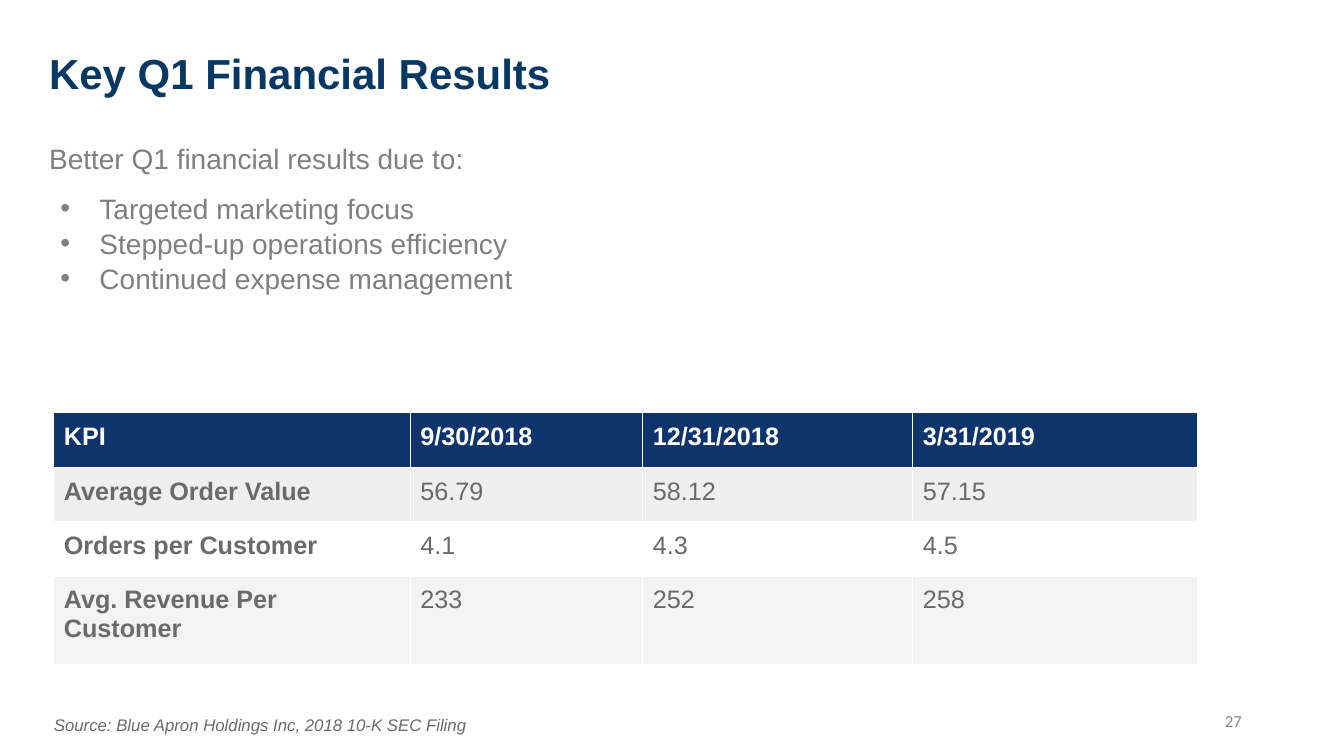
import pptx
import pptx.dml.color
import pptx.enum.text
import pptx.oxml
import pptx.oxml.ns
import pptx.util

Pt = pptx.util.Pt
ANCHOR = pptx.enum.text.MSO_ANCHOR
ALIGN = pptx.enum.text.PP_ALIGN

REASONS = [
    "Targeted marketing focus",
    "Stepped-up operations efficiency",
    "Continued expense management",
]
KPI_ROWS = [
    ("KPI", "9/30/2018", "12/31/2018", "3/31/2019"),
    ("Average Order Value", "56.79", "58.12", "57.15"),
    ("Orders per Customer", "4.1", "4.3", "4.5"),
    ("Avg. Revenue Per Customer", "233", "252", "258"),
]
ROW_FILLS = ["0F346B", "EFEFEF", "FFFFFF", "F3F3F3"]
COLUMN_SHARES = [3.54, 2.31, 2.68, 2.83]
ROW_SHARES = [0.54, 0.54, 0.54, 0.88]


def color(hex_code):
    """Turn a hex string into a colour."""
    return pptx.dml.color.RGBColor.from_string(hex_code)


def style(paragraph, size, hex_code, name="Arial", bold=False, italic=False):
    """Set the font of a paragraph."""
    font = paragraph.font
    font.name, font.size = name, Pt(size)
    font.bold, font.italic = bold, italic
    font.color.rgb = color(hex_code)


def add_frame(slide, box, anchor=ANCHOR.TOP):
    """Add a wrapping text frame in the given box."""
    frame = slide.shapes.add_textbox(*map(Pt, box)).text_frame
    frame.word_wrap = True
    frame.vertical_anchor = anchor
    return frame


def add_line(slide, box, text, size, hex_code, align=ALIGN.LEFT, **font):
    """Add one vertically centred line of text."""
    paragraph = add_frame(slide, box, ANCHOR.MIDDLE).paragraphs[0]
    paragraph.text = text
    paragraph.alignment = align
    style(paragraph, size, hex_code, **font)


def add_bullet(paragraph):
    """Give a paragraph a hanging round bullet."""
    properties = paragraph._p.get_or_add_pPr()
    properties.set("marL", str(Pt(36)))
    properties.set("indent", str(-Pt(28)))
    namespace = pptx.oxml.ns.nsdecls("a")
    properties.append(pptx.oxml.parse_xml(f'<a:buFont {namespace} typeface="Arial"/>'))
    properties.append(pptx.oxml.parse_xml(f'<a:buChar {namespace} char="•"/>'))


def add_reasons(slide, box):
    """Add the lead sentence and its bulleted reasons."""
    frame = add_frame(slide, box)
    lead = frame.paragraphs[0]
    lead.text = "Better Q1 financial results due to:"
    for index, reason in enumerate(REASONS):
        paragraph = frame.add_paragraph()
        paragraph.text = reason
        add_bullet(paragraph)
        paragraph.space_before = Pt(0 if index else 10)
    for paragraph in frame.paragraphs:
        paragraph.line_spacing = 1.05
        style(paragraph, 20, "7F7F7F")


def add_kpi_table(slide, box):
    """Add the KPI table, sharing the box among columns and rows."""
    width, height = box[2:]
    table = slide.shapes.add_table(
        len(KPI_ROWS), len(COLUMN_SHARES), *map(Pt, box)).table
    for column, share in zip(table.columns, COLUMN_SHARES):
        column.width = Pt(width * share / sum(COLUMN_SHARES))
    for row, share in zip(table.rows, ROW_SHARES):
        row.height = Pt(height * share / sum(ROW_SHARES))
    for r, (values, fill) in enumerate(zip(KPI_ROWS, ROW_FILLS)):
        for c, value in enumerate(values):
            cell = table.cell(r, c)
            cell.margin_left = cell.margin_right = Pt(7.2)
            cell.margin_top = cell.margin_bottom = Pt(7.2)
            cell.fill.solid()
            cell.fill.fore_color.rgb = color(fill)
            paragraph = cell.text_frame.paragraphs[0]
            paragraph.text = value
            style(paragraph, 18, "6A6A6A" if r else "FFFFFF", bold=r == 0 or c == 0)


def add_footer(slide, box):
    """Add the source line on the left and the page number on the right."""
    left, top, width, height = box
    add_line(slide, (left, top, 590, height),
             "Source: Blue Apron Holdings Inc, 2018 10-K SEC Filing",
             12, "6A6A6A", italic=True)
    add_line(slide, (left + width - 216, top - 2.5, 216, height), "27",
             12, "888888", ALIGN.RIGHT, name="Calibri")


def main():
    """Build and save the slide."""
    deck = pptx.Presentation()
    deck.slide_width, deck.slide_height = Pt(960), Pt(540)
    slide = deck.slides.add_slide(deck.slide_layouts[6])
    add_line(slide, (28, 0, 828, 104.4), "Key Q1 Financial Results",
             30, "073763", bold=True)
    add_reasons(slide, (28, 96.5, 435, 170))
    add_kpi_table(slide, (38.4, 294.8, 817.2, 180))
    add_footer(slide, (31.4, 503, 862.8, 29))
    deck.save("out.pptx")


if __name__ == "__main__":
    main()
